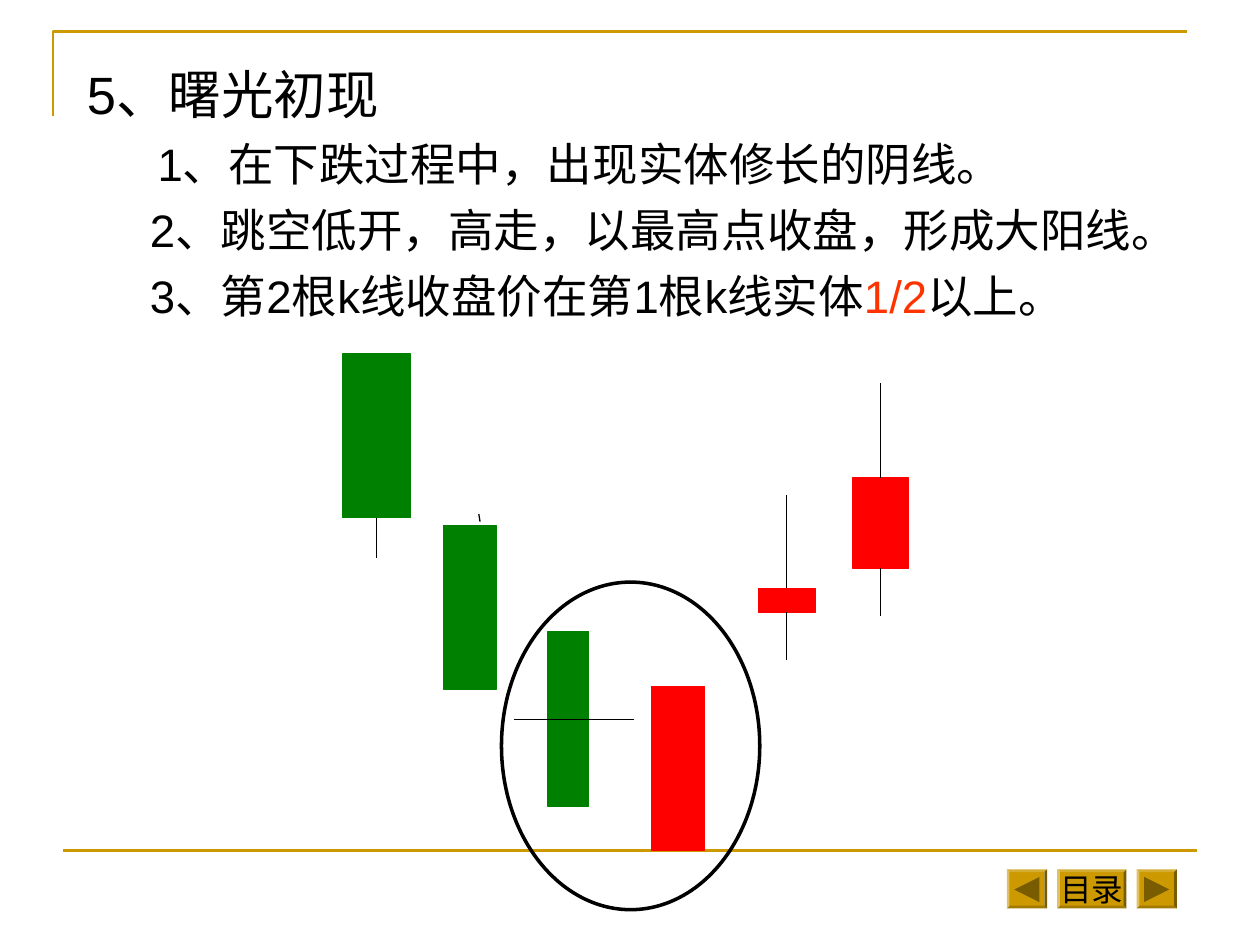
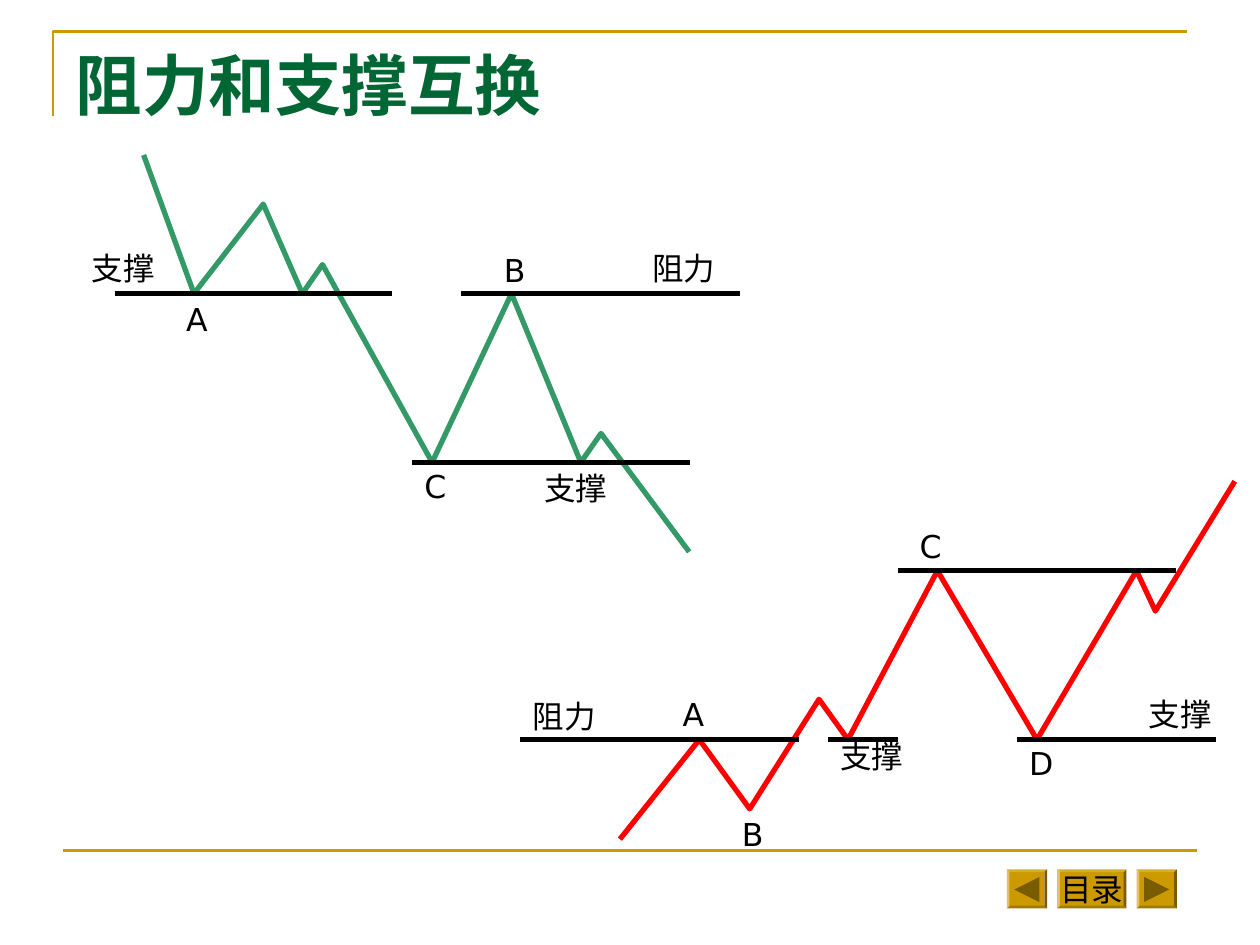
from dataclasses import dataclass

from lxml.etree import SubElement
from pptx import Presentation
from pptx.dml.color import RGBColor
from pptx.enum.shapes import MSO_CONNECTOR, MSO_SHAPE
from pptx.enum.text import MSO_ANCHOR, MSO_AUTO_SIZE, PP_ALIGN
from pptx.oxml.ns import qn
from pptx.util import Inches, Pt


@dataclass(frozen=True)
class Theme:
    gold: str = "CC9900"
    arrow: str = "7A5C00"
    black: str = "000000"
    title: str = "006633"
    accent: str = "FF3300"
    rise: str = "FF0000"
    fall: str = "008000"
    downtrend: str = "339966"
    body_font: str = "Arial"
    label_font: str = "DejaVu Sans"
    title_font: str = "Times New Roman"
    title_size: float = 38
    heading_size: float = 30
    item_size: float = 26
    label_size: float = 18
    thin: float = 0.75
    frame: float = 1.5
    outline: float = 2
    thick: float = 3


THEME = Theme()
TOP, BOTTOM = 0, 2


def write(paragraph, text, font=THEME.body_font, size=THEME.label_size,
          color=THEME.black, bold=False):
    run = paragraph.add_run()
    run.text = text
    run.font.name = font
    run.font.size = Pt(size)
    run.font.bold = bold
    run.font.color.rgb = RGBColor.from_string(color)


def place(shape, left, top, width, height):
    shape.left, shape.top = Inches(left), Inches(top)
    shape.width, shape.height = Inches(width), Inches(height)


def style_line(shape, color, width):
    shape.line.color.rgb = RGBColor.from_string(color)
    shape.line.width = Pt(width)


def add_block(slide, kind, left, top, width, height, fill=None, line=None,
              line_width=THEME.thin):
    shape = slide.shapes.add_shape(
        kind, Inches(left), Inches(top), Inches(width), Inches(height))
    shape.shadow.inherit = False
    if fill:
        shape.fill.solid()
        shape.fill.fore_color.rgb = RGBColor.from_string(fill)
    else:
        shape.fill.background()
    if line:
        style_line(shape, line, line_width)
    else:
        shape.line.fill.background()
    return shape


def add_line(slide, start, end, color=THEME.black, width=THEME.thin):
    connector = slide.shapes.add_connector(
        MSO_CONNECTOR.STRAIGHT, *map(Inches, (*start, *end)))
    style_line(connector, color, width)
    SubElement(connector._element.spPr, qn("a:effectLst"))
    return connector


def add_polyline(slide, points, color, width):
    start, *rest = [(Inches(x), Inches(y)) for x, y in points]
    builder = slide.shapes.build_freeform(*start)
    builder.add_line_segments(rest, close=False)
    shape = builder.convert_to_shape()
    shape.shadow.inherit = False
    shape.fill.background()
    style_line(shape, color, width)


def add_button(slide, left, width):
    button = add_block(slide, MSO_SHAPE.BEVEL, left, 6.9, width, 0.31, THEME.gold)
    button.adjustments[0] = 0.07
    return button


def add_arrow_button(slide, left, rotation):
    add_button(slide, left, 0.32)
    arrow = add_block(slide, MSO_SHAPE.ISOSCELES_TRIANGLE, left + 0.06, 6.96,
                      0.2, 0.2, THEME.arrow)
    arrow.rotation = rotation


def add_frame(slide):
    add_polyline(slide, [(0.42, 0.92), (0.42, 0.25), (9.42, 0.25)],
                 THEME.gold, THEME.frame)
    add_line(slide, (0.5, 6.75), (9.5, 6.75), THEME.gold, THEME.frame)
    contents = add_button(slide, 8.39, 0.55).text_frame
    contents.word_wrap = False
    contents.vertical_anchor = MSO_ANCHOR.MIDDLE
    contents.paragraphs[0].alignment = PP_ALIGN.CENTER
    write(contents.paragraphs[0], "目录")
    add_arrow_button(slide, 7.99, 270)
    add_arrow_button(slide, 9.02, 90)


def prepare_text(placeholder):
    frame = placeholder.text_frame
    frame.auto_size = MSO_AUTO_SIZE.NONE
    frame.vertical_anchor = MSO_ANCHOR.TOP
    return frame


def add_item(frame, pieces, size, indent, space):
    paragraph = frame.add_paragraph() if space else frame.paragraphs[0]
    properties = paragraph._p.get_or_add_pPr()
    properties.set("marL", str(Inches(indent)))
    properties.set("indent", "0")
    SubElement(properties, qn("a:buNone"))
    paragraph.space_before = Pt(space)
    for text, color in pieces:
        write(paragraph, text, size=size, color=color)


def add_candle(slide, left, top, width, height, color, high=None, low=None):
    body = add_block(slide, MSO_SHAPE.RECTANGLE, left, top, width, height,
                     color, color)
    middle = left + width / 2
    for side, edge, tip in ((TOP, top, high), (BOTTOM, top + height, low)):
        if tip is not None:
            wick = add_line(slide, (middle, edge), (middle, tip))
            wick.begin_connect(body, side)


def add_label(slide, text, left, top):
    box = slide.shapes.add_textbox(
        Inches(left), Inches(top), Inches(0.86), Inches(0.4))
    box.text_frame.word_wrap = True
    write(box.text_frame.paragraphs[0], text, font=THEME.label_font)


def add_trend(slide, points, color, levels, labels):
    add_polyline(slide, points, color, THEME.thick)
    for left, right, height in levels:
        add_line(slide, (left, height), (right, height), width=THEME.thick)
    for label in labels:
        add_label(slide, *label)


def build_dawn_slide(presentation):
    slide = presentation.slides.add_slide(presentation.slide_layouts[1])
    title = slide.shapes.title._element
    title.getparent().remove(title)
    add_frame(slide)
    body = slide.placeholders[1]
    place(body, 0.59, 0.44, 9.07, 2.39)
    frame = prepare_text(body)
    black = THEME.black
    add_item(frame, [("5、曙光初现", black)], THEME.heading_size, 0, 0)
    items = [
        (0.56, [("1、在下跌过程中，出现实体修长的阴线。", black)]),
        (0.5, [("2、跳空低开，高走，以最高点收盘，形成大阳线。", black)]),
        (0.5, [("3、第2根k线收盘价在第1根k线实体", black),
               ("1/2", THEME.accent), ("以上。", black)]),
    ]
    for indent, pieces in items:
        add_item(frame, pieces, THEME.item_size, indent, 6.5)

    add_candle(slide, 2.72, 2.81, 0.54, 1.3, THEME.fall, low=4.43)
    add_candle(slide, 3.52, 4.17, 0.42, 1.3, THEME.fall)
    add_candle(slide, 4.35, 5.01, 0.32, 1.39, THEME.fall)
    add_candle(slide, 5.17, 5.45, 0.42, 1.3, THEME.rise)
    add_candle(slide, 6.02, 4.67, 0.45, 0.19, THEME.rise, 3.93, 5.24)
    add_candle(slide, 6.77, 3.79, 0.44, 0.72, THEME.rise, 3.04, 4.89)
    add_line(slide, (3.81, 4.14), (3.8, 4.08))
    add_line(slide, (5.03, 5.71), (4.08, 5.71))
    add_block(slide, MSO_SHAPE.OVAL, 3.98, 4.62, 2.05, 2.6,
              line=THEME.black, line_width=THEME.outline)


def build_exchange_slide(presentation):
    slide = presentation.slides.add_slide(presentation.slide_layouts[5])
    add_frame(slide)
    title = slide.shapes.title
    place(title, 0.5, 0.3, 9, 0.61)
    paragraph = prepare_text(title).paragraphs[0]
    paragraph.alignment = PP_ALIGN.LEFT
    write(paragraph, "阻力和支撑互换", font=THEME.title_font,
          size=THEME.title_size, color=THEME.title, bold=True)

    add_trend(
        slide,
        [(1.14, 1.23), (1.54, 2.33), (2.09, 1.62), (2.4, 2.33), (2.56, 2.1),
         (3.43, 3.67), (4.06, 2.33), (4.61, 3.67), (4.77, 3.44), (5.47, 4.38)],
        THEME.downtrend,
        [(0.91, 3.11, 2.33), (3.66, 5.87, 2.33), (3.27, 5.48, 3.67)],
        [("支撑", 0.63, 1.93), ("A", 1.38, 2.33), ("C", 3.27, 3.66),
         ("阻力", 5.08, 1.93), ("支撑", 4.22, 3.67), ("B", 3.9, 1.94)])
    add_trend(
        slide,
        [(4.92, 6.66), (5.55, 5.87), (5.95, 6.42), (6.5, 5.55), (6.73, 5.87),
         (7.44, 4.53), (8.23, 5.87), (9.02, 4.53), (9.17, 4.85), (9.8, 3.82)],
        THEME.rise,
        [(4.13, 6.34, 5.87), (6.57, 7.13, 5.87), (8.07, 9.65, 5.87),
         (7.13, 9.33, 4.53)],
        [("支撑", 9.02, 5.47), ("D", 8.07, 5.86), ("C", 7.2, 4.13),
         ("支撑", 6.57, 5.8), ("阻力", 4.13, 5.48), ("B", 5.79, 6.42),
         ("A", 5.32, 5.47)])


def main():
    presentation = Presentation()
    presentation.slide_width = Inches(10)
    presentation.slide_height = Inches(7.5)
    build_dawn_slide(presentation)
    build_exchange_slide(presentation)
    presentation.save("out.pptx")


if __name__ == "__main__":
    main()
